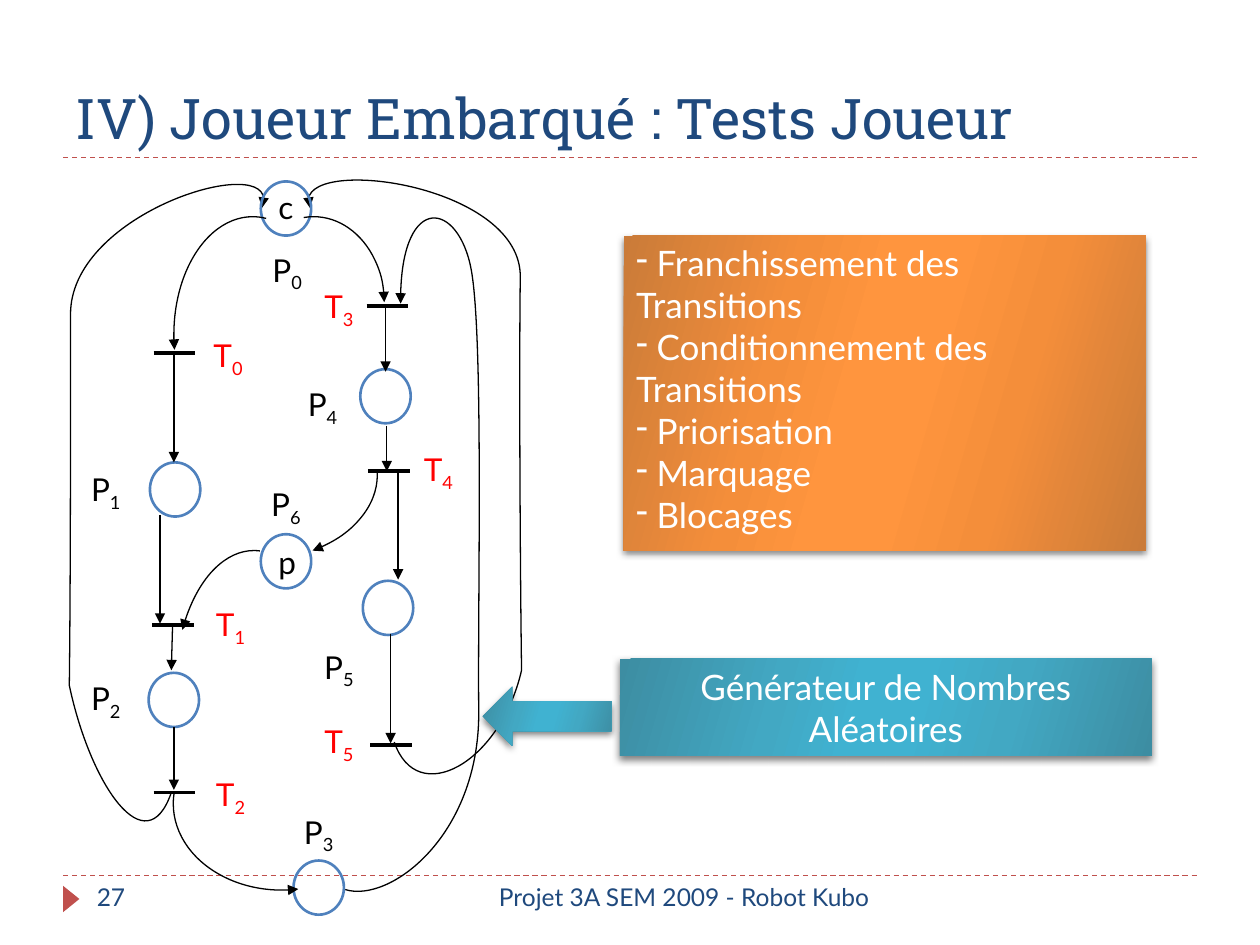
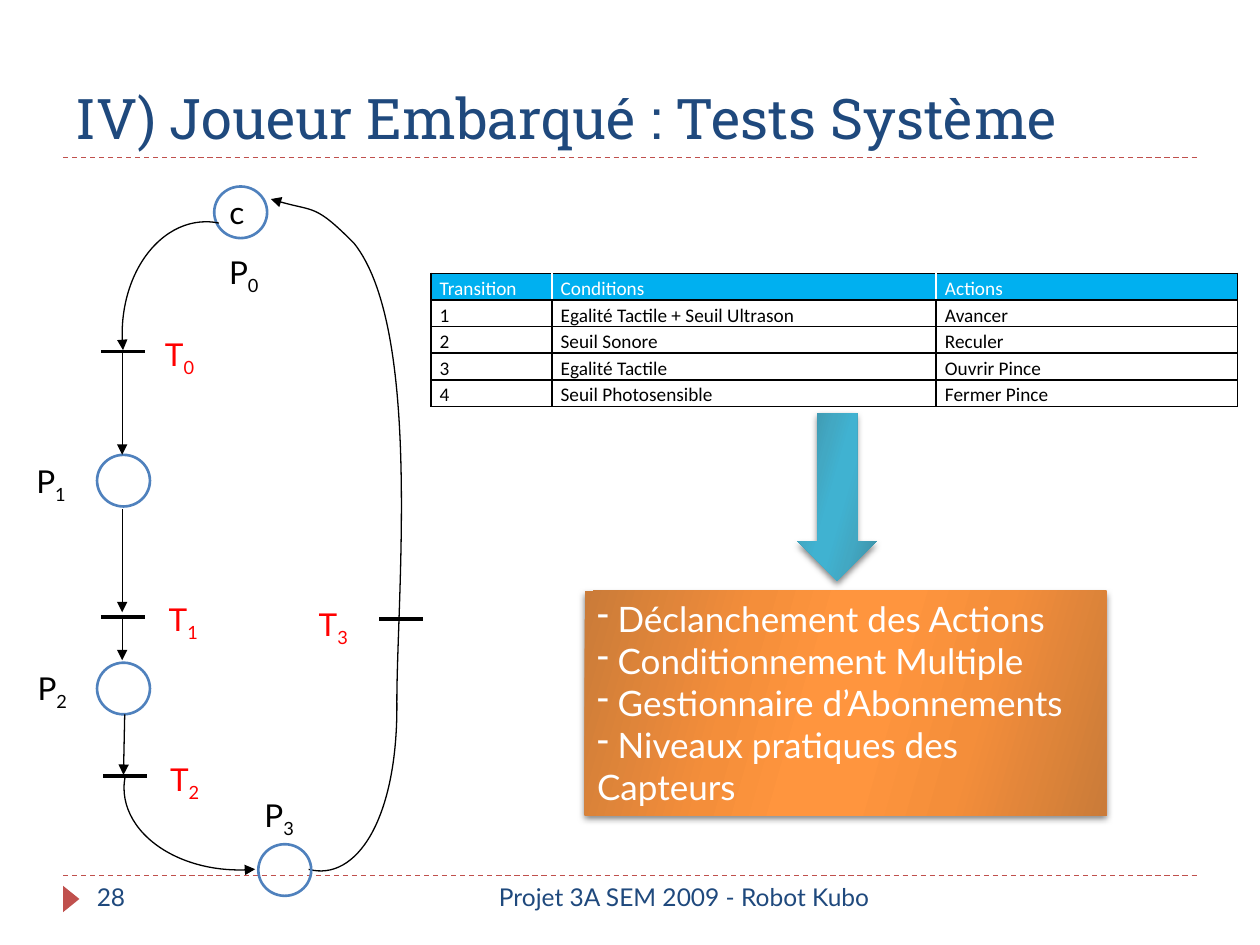
from lxml.etree import SubElement
from pptx import Presentation
from pptx.dml.color import RGBColor
from pptx.enum.dml import MSO_LINE
from pptx.enum.shapes import MSO_CONNECTOR, MSO_SHAPE
from pptx.enum.text import MSO_ANCHOR, MSO_AUTO_SIZE, PP_ALIGN
from pptx.oxml.ns import qn
from pptx.util import Inches, Pt

# Lengths are units of a 10 x 7.5 grid whose cells are one inch square.
COLS, ROWS = 10, 7.5
COLORS = {"ink": "000000", "title": "1F497D", "accent": "C0504D",
          "place": "4F81BD", "transition": "FF0000", "white": "FFFFFF",
          "header": "00B0F0"}
STOPS = (0, 30, 45, 55, 73, 100)
GRADIENTS = {
    "orange": ("CA7B39", "F48E3A", "FF953E", "FF953E", "F48E3A", "CA7B39"),
    "teal": ("3D8DA2", "42A8C3", "40B2D1", "40B2D1", "42A8C3", "3D8DA2"),
}
TITLE_FONT, BODY_FONT, TABLE_FONT = "Roboto Slab", "Lato", "Calibri"
FOOTER = "Projet 3A SEM 2009 - Robot Kubo"
ARC_TOP, ARC_SIDE = 158.01, 6.64
ARC_MID = (160.48, 192.98)

PLAYER_NET = {
    "place_size": (0.4, 0.43), "bar": 0.33, "label_size": (0.46, 0.37),
    "places": [(2.07, 1.44), (1.19, 3.67), (1.18, 5.34), (2.33, 6.83),
               (2.07, 4.24), (2.88, 4.61), (2.86, 2.93)],
    "bars": [(1.22, 2.8), (2.91, 2.43), (1.21, 4.96), (1.22, 6.29),
             (2.92, 3.74), (2.94, 5.91)],
    "arrows": [(1.38, 2.8, 1.38, 3.67), (1.27, 4.09, 1.27, 4.95),
               (1.37, 4.96, 1.36, 5.32), (1.38, 5.77, 1.38, 6.27),
               (3.06, 2.44, 3.06, 2.95), (3.07, 3.38, 3.07, 3.74),
               (3.16, 3.74, 3.16, 4.6), (3.1, 5.03, 3.1, 5.9)],
    "arcs": [((1.93, 1.72, 1.12, 1.37), (ARC_TOP, 215.62), 0, ""),
             ((1.38, 1.72, 1.25, 1.87), (ARC_TOP, ARC_SIDE), 0, "H"),
             ((1.55, 5.52, 1.37, 1.72), (ARC_TOP, ARC_SIDE), 270, "H"),
             ((1.32, 2.78, 1.37, 1.98), ARC_MID, 270, "HV"),
             ((1.39, 4.37, 1.25, 2.16), ARC_MID, 180, "V")],
    "curves": [
        [(1.36, 6.29), (1.16, 6.87), (0.72, 6.24), (0.55, 5.44),
         (0.56, 4.66), (0.56, 3.33), (0.56, 2.5),
         (0.55, 1.71), (2.26, 1.17), (2.08, 1.65)],
        [(3.13, 5.89), (3.31, 6.42), (3.97, 6.06), (4.14, 5.32),
         (4.13, 4.61), (4.12, 2.97), (4.13, 2.2),
         (4.14, 1.48), (2.28, 1.21), (2.46, 1.65)],
        [(2.74, 7.06), (3.09, 7.17), (3.8, 6.64), (3.8, 5.66),
         (3.79, 4.79), (3.84, 2.68), (3.74, 2.14),
         (3.64, 1.6), (3.17, 1.52), (3.18, 2.41)]],
    "tokens": [("c", 2.07, 1.44), ("p", 2.08, 4.26)],
    "labels": [("P0", 2.05, 1.94), ("P1", 0.61, 3.68), ("P2", 0.61, 5.34),
               ("P3", 2.3, 6.4), ("P6", 2.04, 3.8), ("P5", 2.46, 5.09),
               ("P4", 2.33, 3.01), ("T0", 1.58, 2.62), ("T1", 1.6, 4.75),
               ("T2", 1.6, 6.1), ("T5", 2.46, 5.68), ("T4", 3.25, 3.52),
               ("T3", 2.46, 2.23)],
}
SYSTEM_NET = {
    "place_size": (0.42, 0.41), "bar": 0.35, "label_size": (0.49, 0.35),
    "places": [(1.7, 1.48), (0.77, 3.61), (0.77, 5.26), (2.05, 6.7)],
    "bars": [(0.8, 2.79), (0.8, 4.9), (0.82, 6.16), (3.01, 4.91)],
    "arrows": [(0.97, 2.79, 0.97, 3.61), (0.97, 4.04, 0.97, 4.86),
               (0.97, 4.9, 0.97, 5.24), (0.99, 5.67, 0.98, 6.15)],
    "arcs": [((0.97, 1.76, 1.33, 1.78), (ARC_TOP, ARC_SIDE), 0, "H"),
             ((1.25, 5.34, 1.3, 1.83), (ARC_TOP, ARC_SIDE), 270, "H")],
    "curves": [
        [(2.45, 6.9), (2.83, 7), (3.16, 6.5), (3.15, 5.57),
         (3.15, 4.73), (3.35, 2.61), (2.81, 1.93),
         (2.5, 1.62), (2.5, 1.69), (2.15, 1.58)]],
    "tokens": [("c", 1.67, 1.48)],
    "labels": [("P0", 1.69, 1.96), ("P1", 0.16, 3.62), ("P2", 0.17, 5.26),
               ("P3", 1.97, 6.27), ("T0", 1.18, 2.61), ("T1", 1.21, 4.71),
               ("T2", 1.22, 5.98), ("T3", 2.4, 4.75)],
}
CONDITIONS = [
    ("Transition", "Conditions", "Actions"),
    ("1", "Egalité Tactile + Seuil Ultrason", "Avancer"),
    ("2", "Seuil Sonore", "Reculer"),
    ("3", "Egalité Tactile", "Ouvrir Pince"),
    ("4", "Seuil Photosensible", "Fermer Pince"),
]


def rgb(name):
    """Return the named colour."""
    return RGBColor.from_string(COLORS[name])


def grid(*units):
    """Turn grid units into lengths."""
    return [Inches(u) for u in units]


def add_run(p, text, size=18, font=BODY_FONT, color="ink", base=None):
    """Add a formatted run; base shifts it below the line, in percent."""
    r = p.add_run()
    r.text = text
    r.font.size, r.font.name = Pt(size), font
    r.font.color.rgb = rgb(color)
    if base:
        r.font._element.set("baseline", str(base * 1000))


def add_text(shapes, text, at, size=18, color="ink", align=PP_ALIGN.CENTER,
             sub="", wrap=False):
    """Add a text box of one line, with an optional subscript."""
    tf = shapes.add_textbox(*grid(*at)).text_frame
    tf.word_wrap = wrap
    p = tf.paragraphs[0]
    p.alignment = align
    add_run(p, text, size, color=color)
    if sub:
        add_run(p, sub, size, color=color, base=-25)


def style_outline(sp, color="ink", width=0.75, arrow=False):
    """Give a shape an outline only, ending in an arrowhead if asked."""
    if hasattr(sp, "fill"):
        sp.fill.background()
        sp.shadow.inherit = False
    else:
        SubElement(sp._element.spPr, qn("a:effectLst"))
    sp.line.color.rgb, sp.line.width = rgb(color), Pt(width)
    if arrow:
        ln = sp._element.spPr.find(qn("a:ln"))
        SubElement(ln, qn("a:tailEnd"), type="triangle")


def add_line(shapes, x1, y1, x2, y2, **outline):
    """Add a straight line."""
    sp = shapes.add_connector(MSO_CONNECTOR.STRAIGHT, *grid(x1, y1, x2, y2))
    style_outline(sp, **outline)
    return sp


def add_arc(shapes, at, angles, rotation, flips):
    """Add an arc with an arrowhead, flipped along H and/or V."""
    sp = shapes.add_shape(MSO_SHAPE.ARC, *grid(*at))
    sp.adjustments[0], sp.adjustments[1] = angles
    sp.rotation = rotation
    for axis in flips:
        sp._element.spPr.xfrm.set("flip" + axis, "1")
    style_outline(sp, arrow=True)


def add_curve(shapes, points):
    """Add a chain of Bezier curves: a start, then three points for each."""
    start, *rest = [(x * 100, y * 100) for x, y in points]
    builder = shapes.build_freeform(*start, scale=Inches(0.01))
    builder.add_line_segments(rest, close=False)
    sp = builder.convert_to_shape()
    outline = sp._element.spPr.find(".//" + qn("a:path"))
    segments = outline.findall(qn("a:lnTo"))
    for i in range(0, len(segments), 3):
        bezier = SubElement(outline, qn("a:cubicBezTo"))
        for segment in segments[i:i + 3]:
            bezier.append(segment[0])
            outline.remove(segment)
    style_outline(sp, arrow=True)


def add_net(slide, net):
    """Draw a Petri net as one group."""
    shapes = slide.shapes.add_group_shape().shapes
    for points in net["curves"]:
        add_curve(shapes, points)
    for x, y in net["places"]:
        sp = shapes.add_shape(MSO_SHAPE.OVAL, *grid(x, y, *net["place_size"]))
        style_outline(sp, "place", 1.5)
    for x, y in net["bars"]:
        add_line(shapes, x, y, x + net["bar"], y, width=2.25)
    for ends in net["arrows"]:
        add_line(shapes, *ends, arrow=True)
    for arc in net["arcs"]:
        add_arc(shapes, *arc)
    width, height = net["label_size"]
    for text, x, y in net["tokens"]:
        add_text(shapes, text, (x, y, net["place_size"][0], height))
    for (letter, index), x, y in net["labels"]:
        color = "transition" if letter == "T" else "ink"
        add_text(shapes, letter, (x, y, width, height), color=color, sub=index)


def add_glossy(slide, kind, at, gradient):
    """Add a borderless shape with a gradient and a soft shadow."""
    sp = slide.shapes.add_shape(kind, *grid(*at))
    sp.line.fill.background()
    sp.fill.gradient()
    sp.fill.gradient_angle = 344
    stops = sp._element.spPr.find(".//" + qn("a:gsLst"))
    for old in list(stops):
        stops.remove(old)
    for pos, color in zip(STOPS, GRADIENTS[gradient]):
        gs = SubElement(stops, qn("a:gs"), pos=str(pos * 1000))
        SubElement(gs, qn("a:srgbClr"), val=color)
    sp.shadow.inherit = False
    effects = sp._element.spPr.find(qn("a:effectLst"))
    shadow = SubElement(effects, qn("a:outerShdw"), blurRad=str(Pt(4)),
                        dist=str(Pt(2)), dir="5400000", rotWithShape="0")
    color = SubElement(shadow, qn("a:srgbClr"), val=COLORS["ink"])
    SubElement(color, qn("a:alpha"), val="50000")
    return sp


def add_panel(slide, at, gradient, lines, bullet=True):
    """Add a glossy box of text, as a dashed list or centred."""
    tf = add_glossy(slide, MSO_SHAPE.RECTANGLE, at, gradient).text_frame
    tf.word_wrap, tf.vertical_anchor = True, MSO_ANCHOR.TOP
    for i, line in enumerate(lines):
        p = tf.add_paragraph() if i else tf.paragraphs[0]
        p.alignment = PP_ALIGN.LEFT if bullet else PP_ALIGN.CENTER
        if bullet:
            pPr = p._p.get_or_add_pPr()
            pPr.set("marL", "0")
            pPr.set("indent", "0")
            SubElement(pPr, qn("a:buChar"), char="-")
        add_run(p, " " + line if bullet else line, 20, color="white")


def set_borders(cell, **sides):
    """Draw the cell's four borders, black unless a side names a colour."""
    tcPr = cell._tc.get_or_add_tcPr()
    for i, side in enumerate("LRTB"):
        ln = SubElement(tcPr, qn("a:ln" + side), w=str(Pt(1)))
        fill = SubElement(ln, qn("a:solidFill"))
        SubElement(fill, qn("a:srgbClr"), val=COLORS[sides.get(side, "ink")])
        tcPr.insert(i, ln)


def add_table(slide, rows, at, widths):
    """Add a ruled table with a coloured header row."""
    table = slide.shapes.add_table(len(rows), len(widths), *grid(*at)).table
    table.first_row = table.horz_banding = False
    for column, width in zip(table.columns, widths):
        column.width = Inches(width)
    last = len(widths) - 1
    for i, row in enumerate(rows):
        for j, text in enumerate(row):
            cell = table.cell(i, j)
            cell.margin_left = cell.margin_right = Inches(0.07)
            cell.margin_top = cell.margin_bottom = 0
            p = cell.text_frame.paragraphs[0]
            p.alignment, p.line_spacing = PP_ALIGN.JUSTIFY, 1.15
            add_run(p, text, 11, TABLE_FONT, "ink" if i else "white")
            if i:
                cell.fill.background()
                set_borders(cell)
            else:
                cell.fill.solid()
                cell.fill.fore_color.rgb = rgb("header")
                set_borders(cell, L="white" if j else "ink",
                            R="white" if j < last else "ink")


def add_slide(prs, title, number):
    """Add a slide with the shared title, rules, marker and footer."""
    slide = prs.slides.add_slide(prs.slide_layouts[5])
    sp = slide.shapes.title
    sp.left, sp.top, sp.width, sp.height = grid(0.5, 0.17, 9, 1.08)
    tf = sp.text_frame
    tf.auto_size, tf.vertical_anchor = MSO_AUTO_SIZE.NONE, MSO_ANCHOR.BOTTOM
    tf.paragraphs[0].alignment = PP_ALIGN.LEFT
    add_run(tf.paragraphs[0], title, 32, TITLE_FONT, "title")
    for y in (6.95, 1.25):
        rule = add_line(slide.shapes, 0.5, y, COLS - 0.5, y, color="accent")
        rule.line.dash_style = MSO_LINE.DASH
    marker = slide.shapes.add_shape(MSO_SHAPE.ISOSCELES_TRIANGLE,
                                    *grid(0.46, 7.07, 0.21, 0.13))
    marker.rotation, marker.shadow.inherit = 90, False
    marker.fill.solid()
    marker.fill.fore_color.rgb = rgb("accent")
    marker.line.fill.background()
    for text, x, width, align in ((str(number), 0.67, 2.17, PP_ALIGN.LEFT),
                                  (FOOTER, 3.17, 3.83, PP_ALIGN.RIGHT)):
        add_text(slide.shapes, text, (x, 6.95, width, 0.4), 14, "title",
                 align, wrap=True)
    return slide


def main():
    """Build both slides and save them."""
    prs = Presentation()
    prs.slide_width, prs.slide_height = grid(COLS, ROWS)

    slide = add_slide(prs, "IV) Joueur Embarqué : Tests Joueur", 27)
    add_net(slide, PLAYER_NET)
    add_panel(slide, (4.95, 1.87, 4.14, 2.5), "orange",
              ["Franchissement des Transitions",
               "Conditionnement des Transitions",
               "Priorisation", "Marquage", "Blocages"])
    add_panel(slide, (4.92, 5.23, 4.22, 0.77), "teal",
              ["Générateur de Nombres Aléatoires"], bullet=False)
    add_glossy(slide, MSO_SHAPE.LEFT_ARROW, (3.83, 5.45, 1.02, 0.47), "teal")

    slide = add_slide(prs, "IV) Joueur Embarqué : Tests Système", 28)
    add_net(slide, SYSTEM_NET)
    add_table(slide, CONDITIONS, (3.42, 2.17, 6.4, 0.99), (0.96, 3.05, 2.39))
    add_panel(slide, (4.64, 4.69, 4.14, 1.78), "orange",
              ["Déclanchement des Actions", "Conditionnement Multiple",
               "Gestionnaire d’Abonnements", "Niveaux pratiques des Capteurs"])
    add_glossy(slide, MSO_SHAPE.DOWN_ARROW, (6.33, 3.28, 0.63, 1.33), "teal")
    prs.save("out.pptx")


main()
